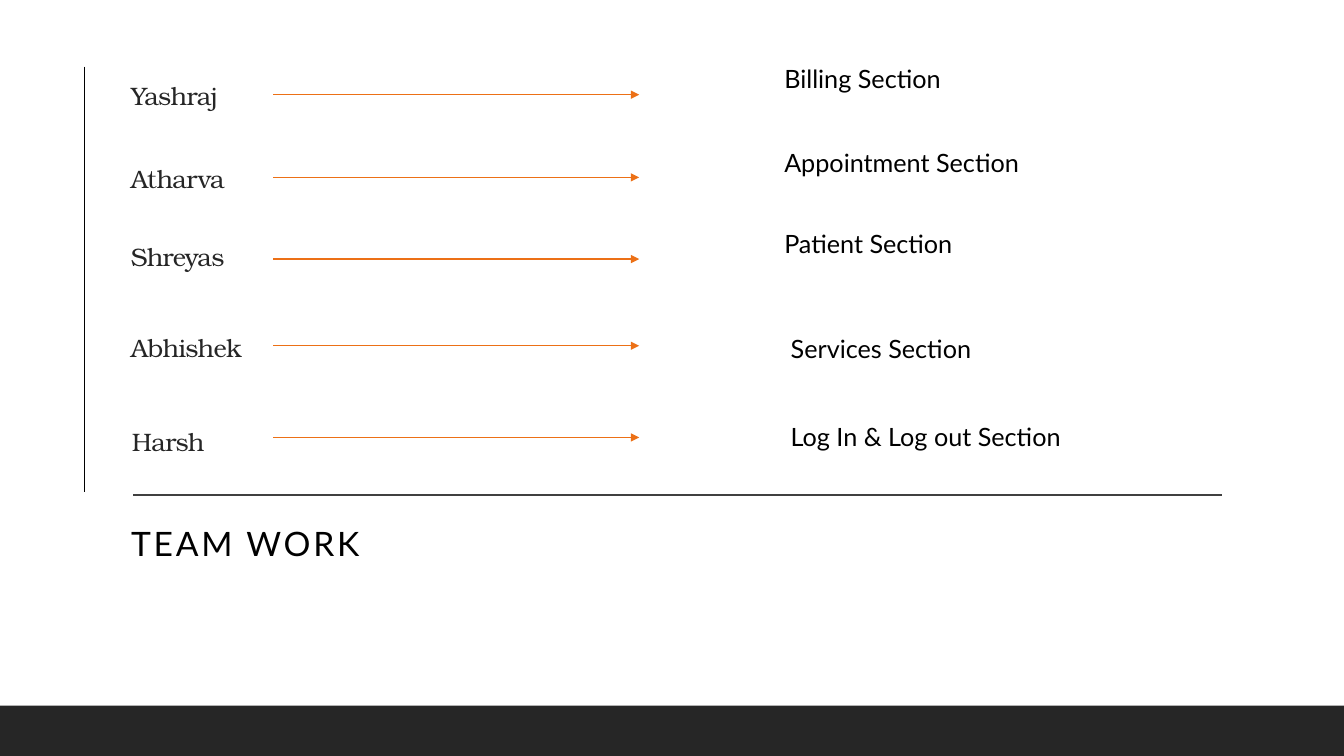
import pptx
import pptx.dml.color
import pptx.enum.shapes
import pptx.enum.text
import pptx.oxml.ns
import pptx.util
import lxml.etree

PX = 9144  # 100 px to the inch
INK = pptx.dml.color.RGBColor(0x26, 0x26, 0x26)
BLACK = pptx.dml.color.RGBColor(0x00, 0x00, 0x00)
GREY = pptx.dml.color.RGBColor(0x40, 0x40, 0x40)
ORANGE = pptx.dml.color.RGBColor(0xEC, 0x70, 0x16)
SERIF, SANS = "TeX Gyre Bonum", "Lato"

# member, section, then left of the name and tops of name, arrow and section
ROWS = [
    ("Yashraj", "Billing Section", 120, 66, 94, 58),
    ("Atharva", "Appointment Section", 120, 148, 176, 141),
    ("Shreyas", "Patient Section", 120, 226, 257, 222),
    ("Abhishek", " Services Section", 120, 316, 343, 326),
    ("Harsh", " Log In & Log out Section", 121, 409, 434, 413),
]


def place(shape, left, top, width, height):
    shape.left, shape.top = left * PX, top * PX
    shape.width, shape.height = width * PX, height * PX


def add_box(page, left, top, width, height):
    return page.shapes.add_textbox(left * PX, top * PX, width * PX, height * PX)


def write(box, text, font, size, color, spacing=0):
    """Fill the box with one left-aligned line; spacing is in hundredths of a point."""
    frame = box.text_frame
    frame.word_wrap = True
    para = frame.paragraphs[0]
    para.alignment = pptx.enum.text.PP_ALIGN.LEFT
    span = para.add_run()
    span.text = text
    span.font.name, span.font.size = font, pptx.util.Pt(size)
    span.font.bold = False
    span.font.color.rgb = color
    properties = span.font._element
    properties.set("cap", "none")
    if spacing:
        properties.set("spc", str(spacing))
    return para


def add_line(page, start, end, color, arrow=False):
    line = page.shapes.add_connector(
        pptx.enum.shapes.MSO_CONNECTOR.STRAIGHT, *(n * PX for n in start + end))
    line.line.color.rgb = color
    line.line.width = pptx.util.Pt(1)
    qn = pptx.oxml.ns.qn
    if arrow:
        lxml.etree.SubElement(line.line._get_or_add_ln(), qn("a:tailEnd"), type="triangle")
    lxml.etree.SubElement(line._element.spPr, qn("a:effectLst"))


def draw_frame(page, width, height):
    """Dark footer band and the two rules around the list."""
    band = page.shapes.add_shape(
        pptx.enum.shapes.MSO_SHAPE.RECTANGLE, 0, (height - 50) * PX, width * PX, 50 * PX)
    band.shadow.inherit = False
    band.fill.solid()
    band.fill.fore_color.rgb = INK
    band.line.fill.background()
    add_line(page, (132, 491), (1212, 491), GREY)
    add_line(page, (84, 66), (84, 488), BLACK)


def write_name(box, name):
    box.text_frame.vertical_anchor = pptx.enum.text.MSO_ANCHOR.BOTTOM
    box.text_frame.auto_size = pptx.enum.text.MSO_AUTO_SIZE.NONE
    write(box, name, SERIF, 18, INK, -50).line_spacing = 0.9


def draw_row(page, row):
    """One member, an arrow and the section; the first member is the title."""
    name, section, left, name_top, arrow_top, section_top = row
    if row is ROWS[0]:
        name_box = page.shapes.title
        place(name_box, left, name_top, 145, 49)
    else:
        name_box = add_box(page, left, name_top, 145, 49)
    write_name(name_box, name)
    add_line(page, (271, arrow_top), (634, arrow_top), ORANGE, arrow=True)
    section_box = add_box(page, 768, section_top, 329, 40)
    write(section_box, section, SANS, 18, BLACK)
    section_box.text_frame.auto_size = pptx.enum.text.MSO_AUTO_SIZE.SHAPE_TO_FIT_TEXT


def draw_caption(box):
    place(box, 120, 510, 1100, 125)
    box.text_frame.vertical_anchor = pptx.enum.text.MSO_ANCHOR.TOP
    box.text_frame.auto_size = pptx.enum.text.MSO_AUTO_SIZE.NONE
    para = write(box, "TEAM WORK", SANS, 24, BLACK, 200)
    para.line_spacing = 1.1
    para.space_before, para.space_after = pptx.util.Pt(12), pptx.util.Pt(2)


def main():
    deck = pptx.Presentation()
    width, height = 1333, 750
    deck.slide_width, deck.slide_height = width * PX, height * PX
    page = deck.slides.add_slide(deck.slide_layouts.get_by_name("Section Header"))
    draw_frame(page, width, height)
    for row in ROWS:
        draw_row(page, row)
    draw_caption(page.placeholders[1])
    deck.save("out.pptx")


if __name__ == "__main__":
    main()
